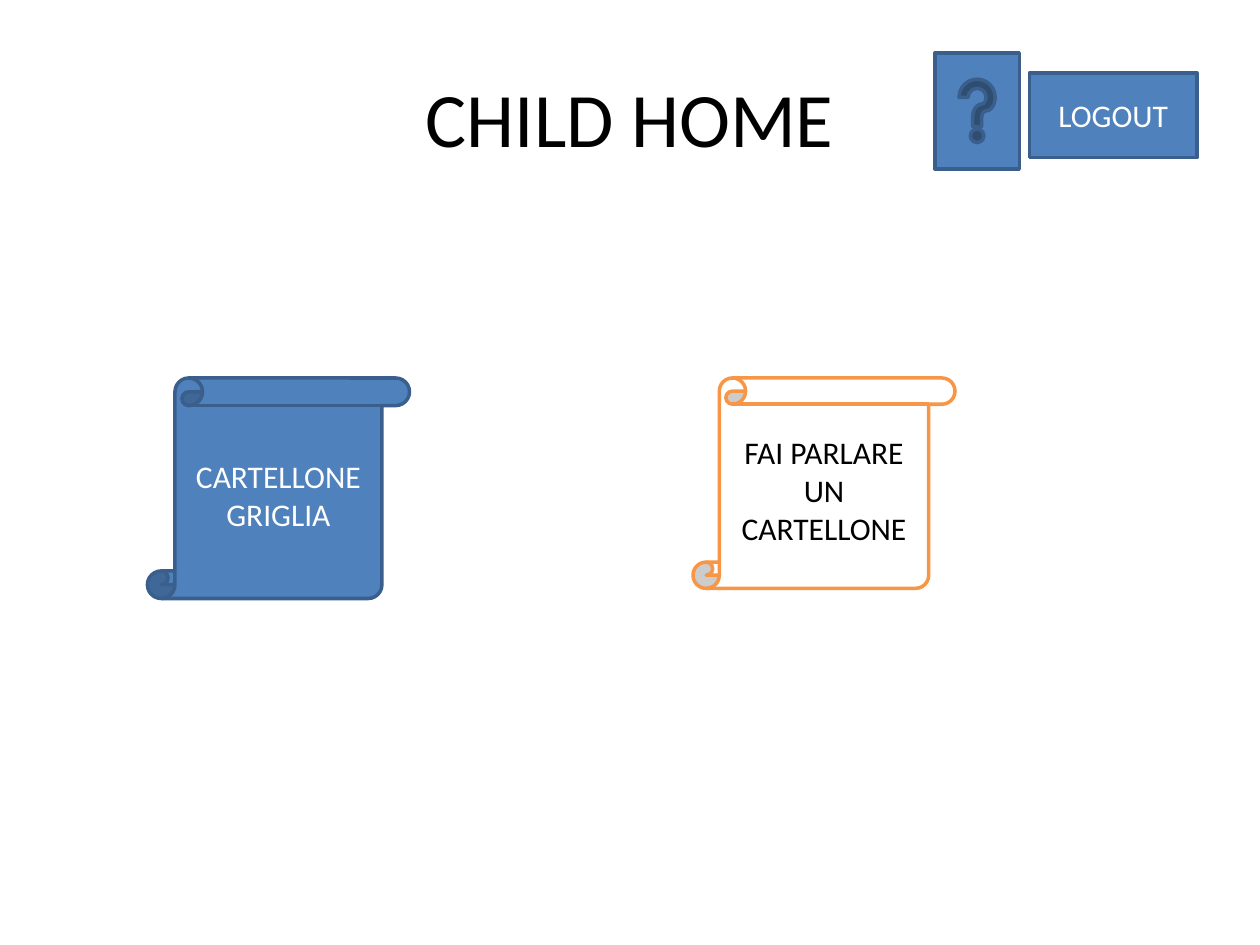
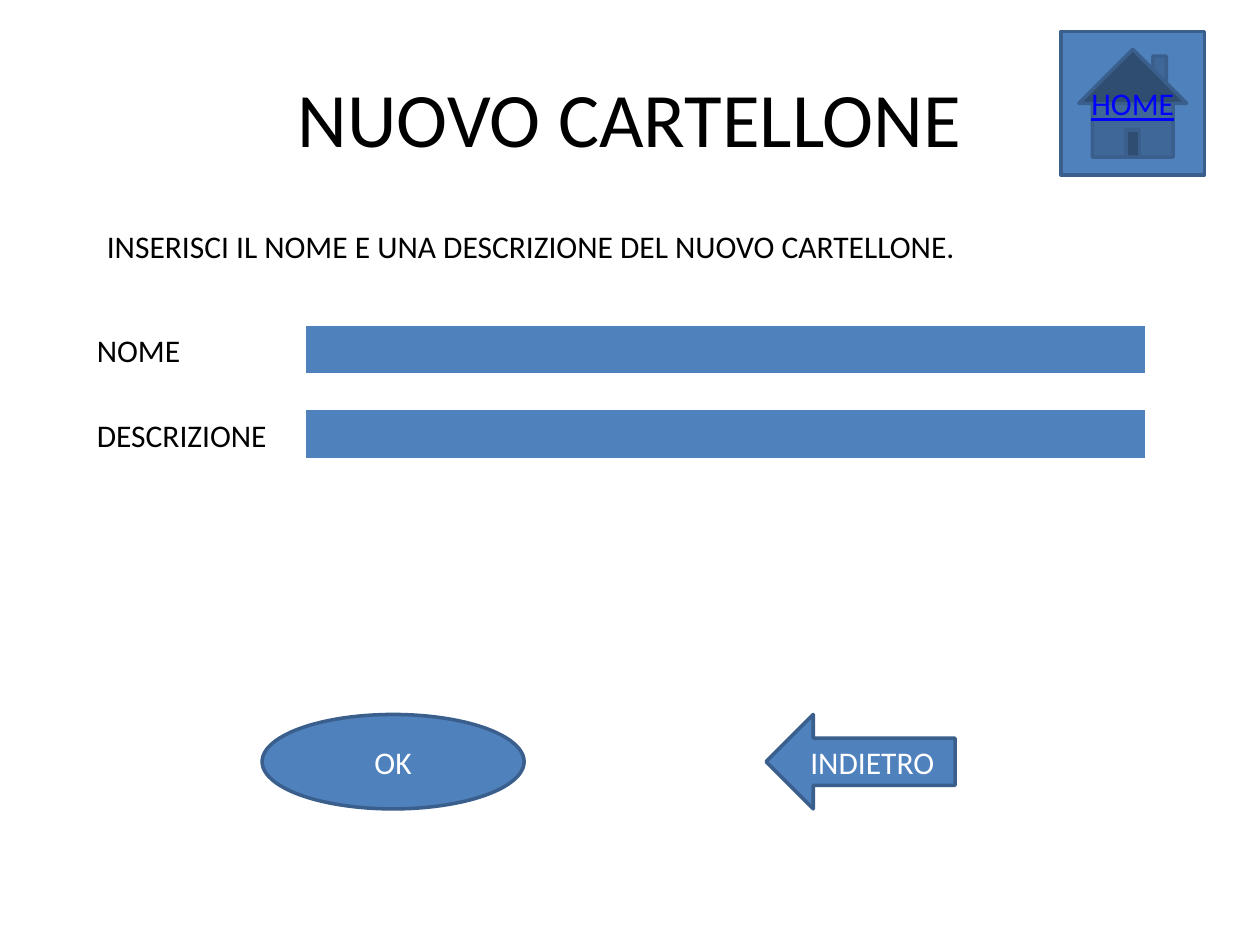
import pptx
import pptx.util
import pptx.dml.color
import pptx.enum.shapes
import pptx.enum.text
import pptx.oxml
import pptx.oxml.ns

Inches = pptx.util.Inches
Shape = pptx.enum.shapes.MSO_SHAPE
Align = pptx.enum.text.PP_ALIGN
Anchor = pptx.enum.text.MSO_ANCHOR
Fit = pptx.enum.text.MSO_AUTO_SIZE

FONT = "Calibri"
HEX = {
    "blue": "4F81BD",
    "edge": "3A5F8C",
    "orange": "F79646",
    "white": "FFFFFF",
    "black": "000000",
    "link": "0000FF",
}


def tint(name):
    """Return the named colour."""
    return pptx.dml.color.RGBColor.from_string(HEX[name])


def write(frame, words, size=18, color="black", align=Align.LEFT,
          anchor=Anchor.TOP, wrap=True, line=None):
    """Put formatted text in a text frame."""
    frame.word_wrap = wrap
    frame.vertical_anchor = anchor
    para = frame.paragraphs[0]
    para.alignment = align
    run = para.add_run()
    run.text = words
    run.font.name = FONT
    run.font.size = pptx.util.Pt(size)
    run.font.color.rgb = tint(color)
    run.font.underline = line


def label(slide, box, words, grow=True, **form):
    """Add a text box."""
    frame = slide.shapes.add_textbox(*map(Inches, box)).text_frame
    write(frame, words, **form)
    frame.auto_size = Fit.SHAPE_TO_FIT_TEXT if grow else Fit.NONE


def button(slide, kind, box, words="", fill="blue", edge="edge",
           color="white", line=None):
    """Add an outlined shape with centred text."""
    shape = slide.shapes.add_shape(kind, *map(Inches, box))
    shape.shadow.inherit = False
    shape.fill.solid()
    shape.fill.fore_color.rgb = tint(fill)
    shape.line.color.rgb = tint(edge)
    shape.line.width = pptx.util.Pt(2)
    if words:
        write(shape.text_frame, words, color=color, align=Align.CENTER,
              anchor=Anchor.MIDDLE, line=line)


def border(cell, side, width):
    """Draw a white border on one side of a cell."""
    space = pptx.oxml.ns.nsdecls("a")
    return pptx.oxml.parse_xml(
        f'<a:ln{side} {space} w="{pptx.util.Pt(width)}"><a:solidFill>'
        f'<a:srgbClr val="{HEX["white"]}"/></a:solidFill></a:ln{side}>')


def field(slide, box, words, gap=1.75):
    """Add a caption and, after the gap, a one-cell table to fill in."""
    left, top, width, height = box
    label(slide, (left, top, gap - 0.08, height), words)
    table = slide.shapes.add_table(
        1, 1, *map(Inches, (left + gap, top, width - gap, height))).table
    cell = table.cell(0, 0)
    cell.fill.solid()
    cell.fill.fore_color.rgb = tint("blue")
    cell.text_frame.paragraphs[0].font.size = pptx.util.Pt(18)
    props = cell._tc.get_or_add_tcPr()
    for spot, (side, thick) in enumerate(zip("LRTB", (1, 1, 1, 3))):
        props.insert(spot, border(cell, side, thick))


def page(deck, title):
    """Add a white slide with its title."""
    slide = deck.slides.add_slide(deck.slide_layouts[6])
    slide.background.fill.solid()
    slide.background.fill.fore_color.rgb = tint("white")
    label(slide, (0.5, 0.3, 9, 1.25), title, grow=False, size=44,
          align=Align.CENTER, anchor=Anchor.MIDDLE)
    return slide


def tools(slide, left, top):
    """Place the help and logout buttons, centred on one line."""
    button(slide, Shape.RECTANGLE, (left + 0.75, top + 0.16, 1.33, 0.67),
           "LOGOUT")
    button(slide, Shape.ACTION_BUTTON_HELP, (left, top, 0.67, 0.92))


def scrolls(slide, left, top, step=4.33, width=2.08):
    """Place the two scrolls side by side."""
    button(slide, Shape.VERTICAL_SCROLL, (left, top, width, 1.75),
           "CARTELLONE GRIGLIA")
    button(slide, Shape.VERTICAL_SCROLL, (left + step, top, width, 1.67),
           "FAI PARLARE UN CARTELLONE", fill="white", edge="orange",
           color="black")


def form(slide, left, top, width, step=0.67):
    """Place the prompt and the fields below it."""
    label(slide, (left + 0.08, top, 6.93, 0.4),
          "INSERISCI IL NOME E UNA DESCRIZIONE DEL NUOVO CARTELLONE.",
          wrap=False)
    for row, name in enumerate(("NOME", "DESCRIZIONE")):
        field(slide, (left, top + 0.83 + row * step, width, 0.4), name)


def choices(slide, left, top, height=0.75):
    """Place the confirm and back buttons."""
    button(slide, Shape.LEFT_ARROW, (left + 4, top, 1.5, height), "INDIETRO")
    button(slide, Shape.OVAL, (left, top, 2.08, height), "OK")


def main():
    """Build and save the deck."""
    deck = pptx.Presentation()
    deck.slide_width, deck.slide_height = Inches(10), Inches(7.5)

    child = page(deck, "CHILD HOME")
    scrolls(child, 1.17, 3)
    tools(child, 7.42, 0.42)

    board = page(deck, "NUOVO CARTELLONE")
    choices(board, 2.08, 5.67)
    button(board, Shape.ACTION_BUTTON_HOME, (8.42, 0.25, 1.14, 1.14),
           "HOME", color="link", line=True)
    form(board, 0.67, 1.75, 8.42)

    deck.save("out.pptx")


main()
